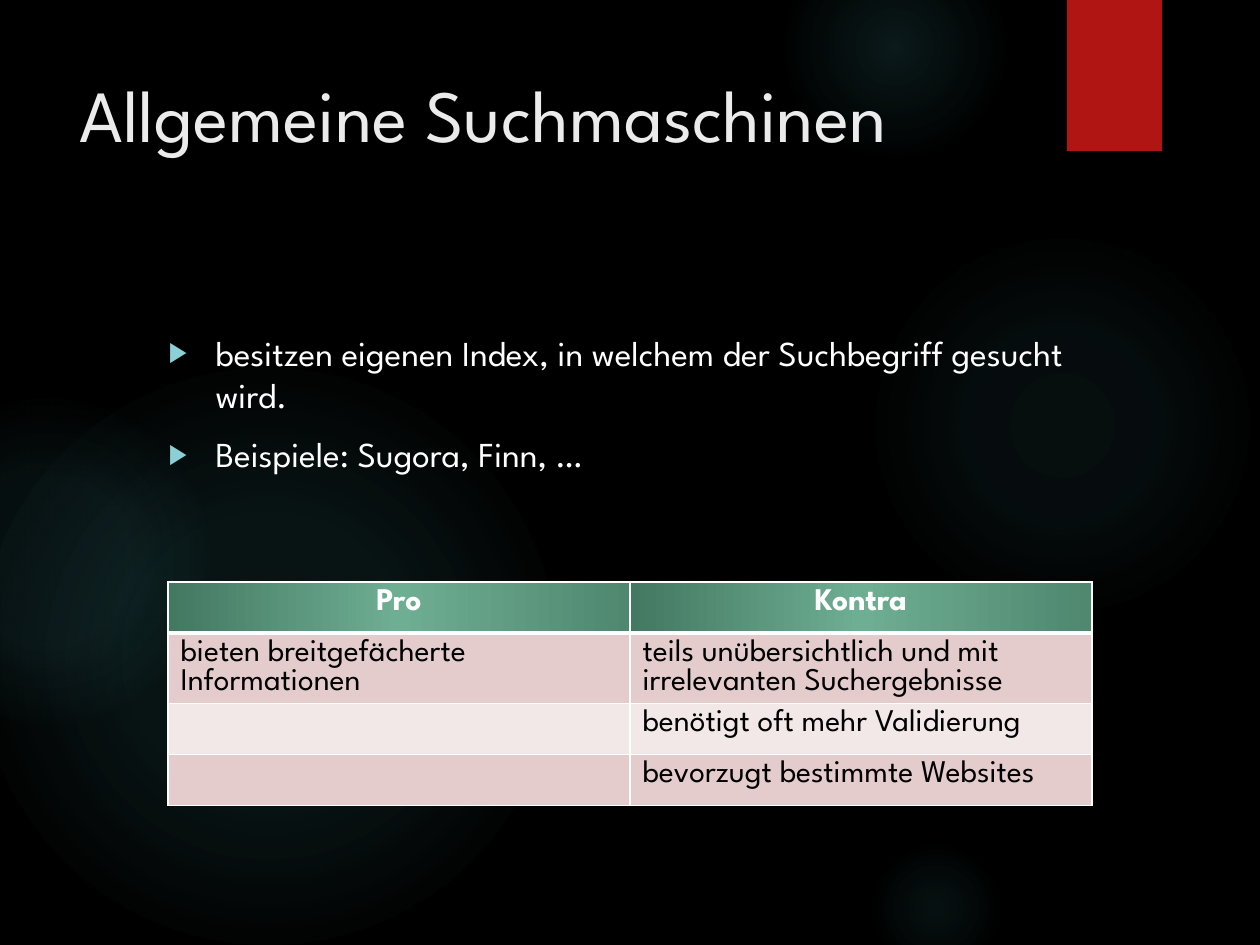
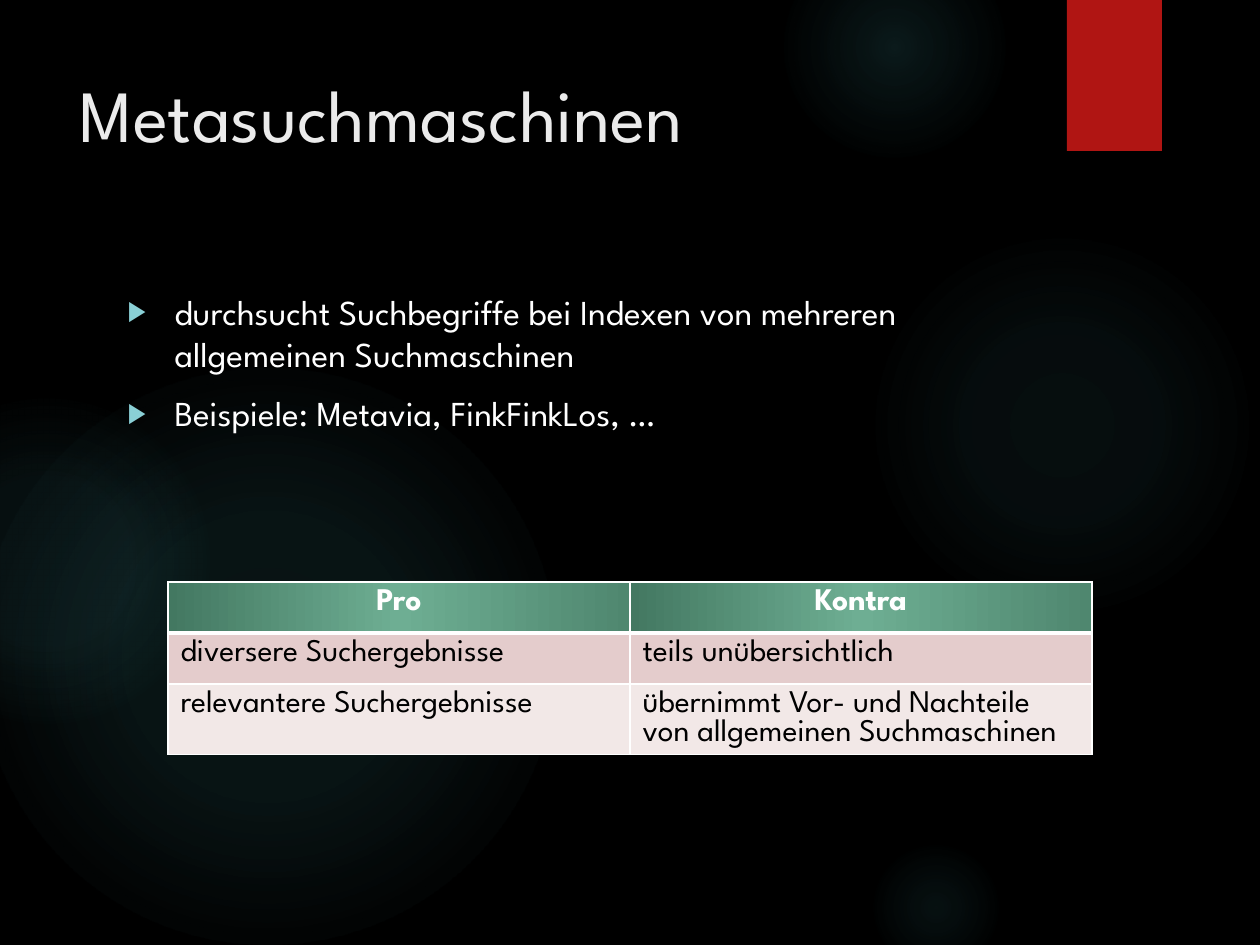
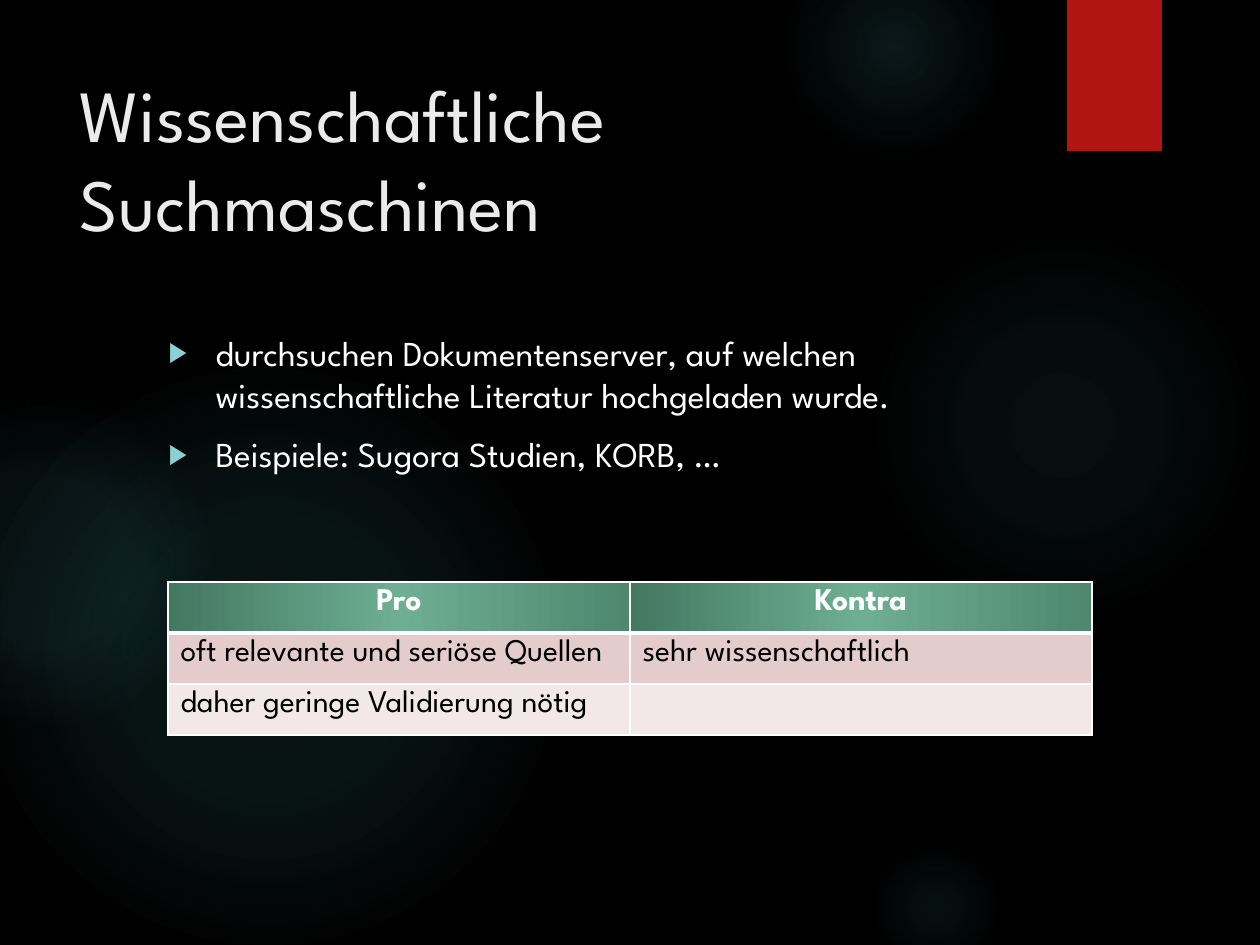
from dataclasses import dataclass

from lxml.etree import SubElement
from pptx import Presentation
from pptx.dml.color import RGBColor
from pptx.enum.shapes import MSO_SHAPE as Preset
from pptx.enum.text import MSO_ANCHOR as Anchor, MSO_AUTO_SIZE as AutoSize, PP_ALIGN as Align
from pptx.oxml import parse_xml
from pptx.oxml.ns import nsdecls, qn
from pptx.util import Emu, Pt

EMU_PER_PIXEL = 914400 / 126


@dataclass(frozen=True)
class Theme:
    font: str = "League Spartan"
    background: str = "000000"
    glow: str = "50B9C1"
    ribbon: str = "B01513"
    title: str = "EBEBEB"
    light: str = "FFFFFF"
    dark: str = "000000"
    bullet: str = "8AD0D6"
    header: tuple[str, ...] = ("437861", "6EAE93", "4F876F")
    bands: tuple[str, ...] = ("E4CCCC", "F2E8E7")
    title_size: float = 42
    title_line: float = 50.4
    list_size: float = 20
    list_line: float = 24
    list_gap: float = 10
    cell_size: float = 18
    cell_line: float = 16.5
    rule: float = 1
    header_rule: float = 3


@dataclass(frozen=True)
class Box:
    left: int
    top: int
    width: int
    height: int


@dataclass(frozen=True)
class Stop:
    position: int
    color: str
    opacity: int = 100


@dataclass(frozen=True)
class Glow:
    left: int
    top: int
    size: int
    middle: int
    core_opacity: int
    ring_opacity: int


@dataclass(frozen=True)
class Engine:
    title: str
    points: tuple[str, ...]
    rows: tuple[tuple[str, str], ...]
    title_width: int = 973
    list_left: int = 156
    list_top: int = 325


THEME = Theme()
TITLE_LEFT, TITLE_TOP, TITLE_HEIGHT = 67, 63, 193
LIST_WIDTH, LIST_HEIGHT, LIST_INDENT = 925, 578, 47
TABLE_LEFT, TABLE_TOP, COLUMN_WIDTH, ROW_HEIGHT = 168, 582, 462, 51
RIBBON = Box(1067, 0, 95, 151)
RADIAL = '<a:path path="circle"><a:fillToRect l="50000" t="50000" r="50000" b="50000"/></a:path>'
ACROSS = '<a:lin ang="0" scaled="0"/>'
GLOWS = (
    Glow(868, 231, 388, 69, 7, 6),
    Glow(784, -63, 221, 73, 14, 7),
    Glow(868, 840, 136, 66, 9, 5),
    Glow(-21, 368, 577, 75, 11, 10),
    Glow(-116, 399, 325, 72, 8, 8),
)
HEADINGS = ("Pro", "Kontra")
ENGINES = (
    Engine(
        "Allgemeine Suchmaschinen",
        ("besitzen eigenen Index, in welchem der Suchbegriff gesucht wird.",
         "Beispiele: Sugora, Finn, …"),
        (("bieten breitgefächerte Informationen",
          "teils unübersichtlich und mit irrelevanten Suchergebnisse"),
         ("", "benötigt oft mehr Validierung"),
         ("", "bevorzugt bestimmte Websites")),
        title_width=990,
    ),
    Engine(
        "Metasuchmaschinen",
        ("durchsucht Suchbegriffe bei Indexen von mehreren allgemeinen Suchmaschinen",
         "Beispiele: Metavia, FinkFinkLos, …"),
        (("diversere Suchergebnisse", "teils unübersichtlich"),
         ("relevantere Suchergebnisse",
          "übernimmt Vor- und Nachteile von allgemeinen Suchmaschinen")),
        list_left=115,
        list_top=284,
    ),
    Engine(
        "Wissenschaftliche Suchmaschinen",
        ("durchsuchen Dokumentenserver, auf welchen wissenschaftliche Literatur hochgeladen wurde.",
         "Beispiele: Sugora Studien, KORB, …"),
        (("oft relevante und seriöse Quellen", "sehr wissenschaftlich"),
         ("daher geringe Validierung nötig", "")),
    ),
)


def px(pixels: int) -> Emu:
    return Emu(round(pixels * EMU_PER_PIXEL))


def frame(box: Box) -> tuple[Emu, ...]:
    return px(box.left), px(box.top), px(box.width), px(box.height)


def rgb(color: str) -> RGBColor:
    return RGBColor.from_string(color)


def fill_solid(target, color: str) -> None:
    target.fill.solid()
    target.fill.fore_color.rgb = rgb(color)


def fill_gradient(target, properties, stops: list[Stop], direction: str) -> None:
    target.fill.solid()
    marks = "".join(
        f'<a:gs pos="{stop.position * 1000}"><a:srgbClr val="{stop.color}">'
        f'<a:alpha val="{stop.opacity * 1000}"/></a:srgbClr></a:gs>'
        for stop in stops
    )
    gradient = parse_xml(
        f'<a:gradFill {nsdecls("a")} rotWithShape="1"><a:gsLst>{marks}</a:gsLst>{direction}</a:gradFill>'
    )
    properties.replace(properties.find(qn("a:solidFill")), gradient)


def write(paragraph, text: str, size: float, line: float, color: str, bold: bool = False) -> None:
    paragraph.line_spacing = Pt(line)
    run = paragraph.add_run()
    run.text = text
    run.font.name = THEME.font
    run.font.size = Pt(size)
    run.font.bold = bold
    run.font.color.rgb = rgb(color)


def add_plain_shape(slide, preset: Preset, box: Box):
    shape = slide.shapes.add_shape(preset, *frame(box))
    shape.shadow.inherit = False
    shape.line.fill.background()
    return shape


def draw_backdrop(slide, layout) -> None:
    backdrop = []
    for glow in GLOWS:
        light = add_plain_shape(slide, Preset.OVAL, Box(glow.left, glow.top, glow.size, glow.size))
        stops = [
            Stop(0, THEME.glow, glow.core_opacity),
            Stop(36, THEME.glow, glow.ring_opacity),
            Stop(glow.middle, THEME.glow, 0),
        ]
        fill_gradient(light, light.element.spPr, stops, RADIAL)
        backdrop.append(light)
    ribbon = add_plain_shape(slide, Preset.RECTANGLE, RIBBON)
    fill_solid(ribbon, THEME.ribbon)
    backdrop.append(ribbon)
    tree = layout.element.cSld.spTree
    for order, part in enumerate(backdrop):
        part.element.nvSpPr.cNvPr.set("id", str(100 + order))
        tree.insert(2 + order, part.element)


def place_text(placeholder, box: Box):
    placeholder.left, placeholder.top, placeholder.width, placeholder.height = frame(box)
    content = placeholder.text_frame
    content.word_wrap = True
    content.auto_size = AutoSize.NONE
    content.vertical_anchor = Anchor.TOP
    return content


def write_title(slide, engine: Engine) -> None:
    box = Box(TITLE_LEFT, TITLE_TOP, engine.title_width, TITLE_HEIGHT)
    heading = place_text(slide.shapes.title, box).paragraphs[0]
    heading.alignment = Align.LEFT
    write(heading, engine.title, THEME.title_size, THEME.title_line, THEME.title)


def write_points(slide, engine: Engine) -> None:
    box = Box(engine.list_left, engine.list_top, LIST_WIDTH, LIST_HEIGHT)
    content = place_text(slide.placeholders[1], box)
    for index, point in enumerate(engine.points):
        paragraph = content.add_paragraph() if index else content.paragraphs[0]
        paragraph.space_before = Pt(THEME.list_gap)
        write(paragraph, point, THEME.list_size, THEME.list_line, THEME.light)
        properties = paragraph._p.get_or_add_pPr()
        properties.set("marL", str(px(LIST_INDENT)))
        properties.set("indent", str(-px(LIST_INDENT)))
        color = SubElement(properties, qn("a:buClr"))
        SubElement(color, qn("a:srgbClr"), val=THEME.bullet)
        SubElement(properties, qn("a:buSzPct"), val="80000")
        SubElement(properties, qn("a:buChar"), char="▶")


def rule_cell(properties, top: float, bottom: float) -> None:
    widths = {"lnL": THEME.rule, "lnR": THEME.rule, "lnT": top, "lnB": bottom}
    for order, (side, width) in enumerate(widths.items()):
        properties.insert(order, parse_xml(
            f'<a:{side} {nsdecls("a")} w="{Pt(width)}"><a:solidFill>'
            f'<a:srgbClr val="{THEME.light}"/></a:solidFill></a:{side}>'
        ))


def draw_comparison(slide, engine: Engine) -> None:
    rows = (HEADINGS, *engine.rows)
    box = Box(TABLE_LEFT, TABLE_TOP, COLUMN_WIDTH * len(HEADINGS), ROW_HEIGHT * len(rows))
    comparison = slide.shapes.add_table(len(rows), len(HEADINGS), *frame(box)).table
    comparison.horz_banding = False
    header_stops = [Stop(50 * step, color) for step, color in enumerate(THEME.header)]
    for row, texts in enumerate(rows):
        is_header = row == 0
        for column, text in enumerate(texts):
            cell = comparison.cell(row, column)
            properties = cell._tc.get_or_add_tcPr()
            if is_header:
                fill_gradient(cell, properties, header_stops, ACROSS)
            else:
                fill_solid(cell, THEME.bands[(row - 1) % 2])
            rule_cell(
                properties,
                THEME.header_rule if row == 1 else THEME.rule,
                THEME.header_rule if is_header else THEME.rule,
            )
            if text:
                paragraph = cell.text_frame.paragraphs[0]
                paragraph.alignment = Align.CENTER if is_header else Align.LEFT
                color = THEME.light if is_header else THEME.dark
                write(paragraph, text, THEME.cell_size, THEME.cell_line, color, is_header)


def build() -> None:
    deck = Presentation()
    deck.slide_width, deck.slide_height = px(1260), px(945)
    fill_solid(deck.slide_master.background, THEME.background)
    layout = deck.slide_layouts[1]
    for index, engine in enumerate(ENGINES):
        slide = deck.slides.add_slide(layout)
        if index == 0:
            draw_backdrop(slide, layout)
        write_title(slide, engine)
        draw_comparison(slide, engine)
        write_points(slide, engine)
    deck.save("out.pptx")


build()
